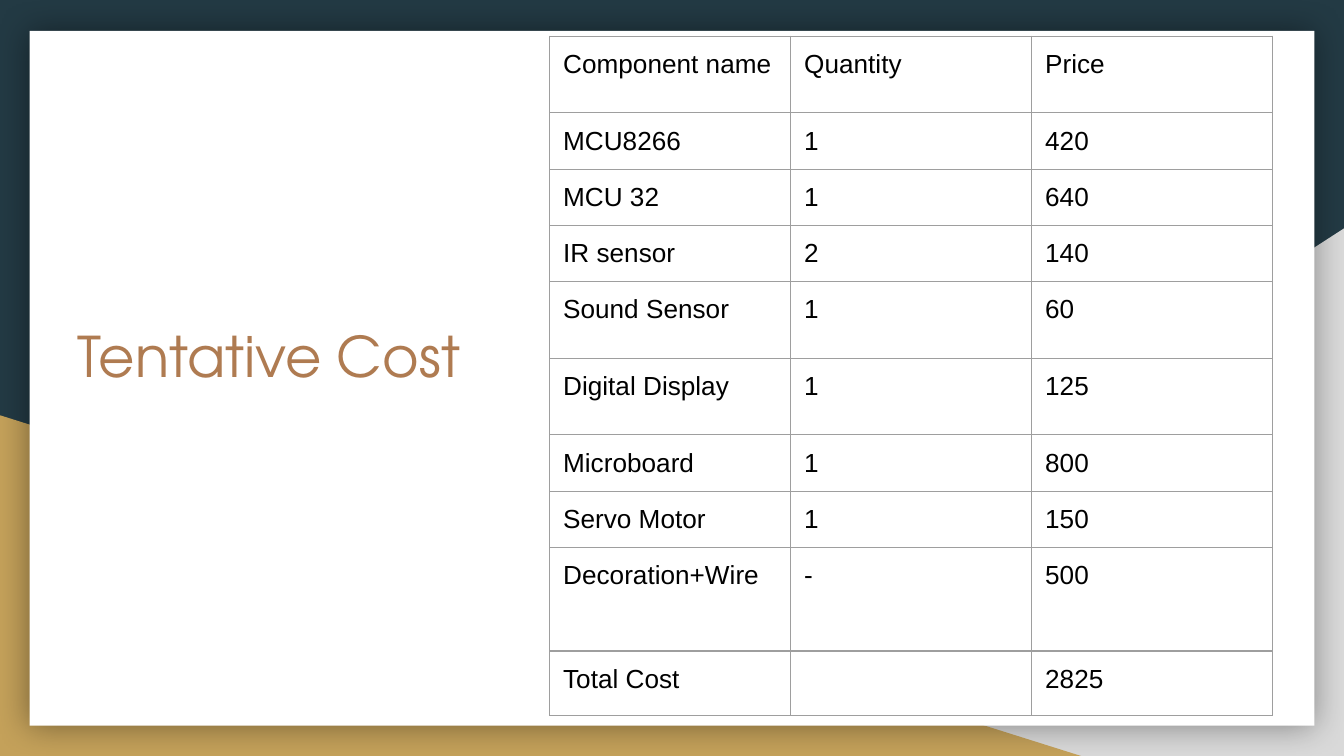
from dataclasses import dataclass

from lxml import etree
from pptx import Presentation
from pptx.dml.color import RGBColor
from pptx.enum.shapes import MSO_SHAPE
from pptx.enum.text import MSO_ANCHOR, MSO_AUTO_SIZE, PP_ALIGN
from pptx.oxml import parse_xml
from pptx.oxml.ns import nsdecls, qn
from pptx.util import Inches, Pt

WEDGE = MSO_SHAPE.RIGHT_TRIANGLE
RECT = MSO_SHAPE.RECTANGLE
TOP = MSO_ANCHOR.TOP
LEFT = PP_ALIGN.LEFT
FIXED = MSO_AUTO_SIZE.NONE


@dataclass(frozen=True)
class Theme:
    back: str = "233A44"
    grey: str = "D9D9D9"
    gold: str = "C4A15A"
    card: str = "FFFFFF"
    title: str = "AF7B51"
    text: str = "000000"
    rule: str = "9E9E9E"
    head_font: str = "TeX Gyre Adventor"
    cell_font: str = "Arial"
    head_size: float = 30
    cell_size: float = 14
    blank_size: float = 18
    rule_size: float = 0.75


@dataclass(frozen=True)
class Panel:
    kind: int
    left: float
    top: float
    width: float
    height: float
    fill: str
    flip: bool = False
    glow: bool = False


@dataclass(frozen=True)
class Item:
    name: str
    count: str
    price: str
    height: float = 0.37


THEME = Theme()
PAD = Inches(0.1)
WIDTH = 5.38

PANELS = [
    Panel(WEDGE, 3.92, 1.7, 6.08, 3.93, THEME.grey, flip=True),
    Panel(WEDGE, 0, 3.09, 8.06, 2.54, THEME.gold),
    Panel(RECT, 0.22, 0.23, 9.56, 5.17, THEME.card, glow=True),
]

ITEMS = [
    Item("Component name", "Quantity", "Price", 0.57),
    Item("MCU8266", "1", "420"),
    Item("MCU 32", "1", "640"),
    Item("IR sensor", "2", "140"),
    Item("Sound Sensor", "1", "60", 0.57),
    Item("Digital Display", "1", "125", 0.57),
    Item("Microboard", "1", "800"),
    Item("Servo Motor", "1", "150"),
    Item("Decoration+Wire", "-", "500", 0.77),
    Item("Total Cost", "", "2825"),
]


def add_run(para, text: str, font: str, size: float, color: str) -> None:
    run = para.add_run()
    run.text = text
    run.font.name = font
    run.font.size = Pt(size)
    run.font.color.rgb = RGBColor.from_string(color)


def add_glow(shape) -> None:
    shape._element.spPr.append(parse_xml(
        f'<a:effectLst {nsdecls("a")}>'
        f'<a:outerShdw blurRad="{Pt(18)}" dist="0" dir="0" algn="ctr" rotWithShape="0">'
        '<a:srgbClr val="000000"><a:alpha val="40000"/></a:srgbClr>'
        '</a:outerShdw></a:effectLst>'))


def draw_panel(slide, panel: Panel) -> None:
    shape = slide.shapes.add_shape(
        panel.kind, Inches(panel.left), Inches(panel.top),
        Inches(panel.width), Inches(panel.height))
    shape.fill.solid()
    shape.fill.fore_color.rgb = RGBColor.from_string(panel.fill)
    shape.line.fill.background()
    if panel.flip:
        shape._element.spPr.find(qn("a:xfrm")).set("flipH", "1")
    if panel.glow:
        add_glow(shape)
    else:
        shape.shadow.inherit = False


def draw_title(slide, text: str) -> None:
    title = slide.shapes.title
    slide.shapes._spTree.append(title._element)
    title.left, title.top = Inches(0.48), Inches(2.29)
    title.width, title.height = Inches(8.21), Inches(1.04)
    frame = title.text_frame
    frame.auto_size = FIXED
    frame.word_wrap = True
    frame.vertical_anchor = TOP
    frame.margin_left = frame.margin_right = PAD
    frame.margin_top = frame.margin_bottom = PAD
    para = frame.paragraphs[0]
    para.alignment = LEFT
    add_run(para, text, THEME.head_font, THEME.head_size, THEME.title)


def add_rules(cell) -> None:
    props = cell._tc.get_or_add_tcPr()
    for side in ("lnL", "lnR", "lnT", "lnB"):
        line = etree.SubElement(props, qn(f"a:{side}"), w=str(Pt(THEME.rule_size)))
        fill = etree.SubElement(line, qn("a:solidFill"))
        etree.SubElement(fill, qn("a:srgbClr"), val=THEME.rule)


def set_blank(para) -> None:
    mark = etree.SubElement(para._p, qn("a:endParaRPr"),
                            sz=str(int(THEME.blank_size * 100)))
    etree.SubElement(mark, qn("a:latin"), typeface=THEME.cell_font)


def draw_cell(cell, text: str) -> None:
    cell.margin_left = cell.margin_right = PAD
    cell.margin_top = cell.margin_bottom = PAD
    cell.vertical_anchor = TOP
    add_rules(cell)
    cell.fill.background()
    para = cell.text_frame.paragraphs[0]
    if text:
        add_run(para, text, THEME.cell_font, THEME.cell_size, THEME.text)
    else:
        set_blank(para)


def draw_table(slide, items: list[Item]) -> None:
    table = slide.shapes.add_table(
        len(items), 3, Inches(4.09), Inches(0.27), Inches(WIDTH),
        Inches(sum(item.height for item in items))).table
    table.first_row = False
    table.horz_banding = False
    for col in table.columns:
        col.width = Inches(WIDTH / 3)
    for row, item in zip(table.rows, items):
        row.height = Inches(item.height)
        for cell, text in zip(row.cells, (item.name, item.count, item.price)):
            draw_cell(cell, text)


def main() -> None:
    deck = Presentation()
    deck.slide_width, deck.slide_height = Inches(10), Inches(10 * 9 / 16)
    slide = deck.slides.add_slide(deck.slide_layouts[5])
    slide.background.fill.solid()
    slide.background.fill.fore_color.rgb = RGBColor.from_string(THEME.back)
    for panel in PANELS:
        draw_panel(slide, panel)
    draw_title(slide, "Tentative Cost")
    draw_table(slide, ITEMS)
    deck.save("out.pptx")


if __name__ == "__main__":
    main()
